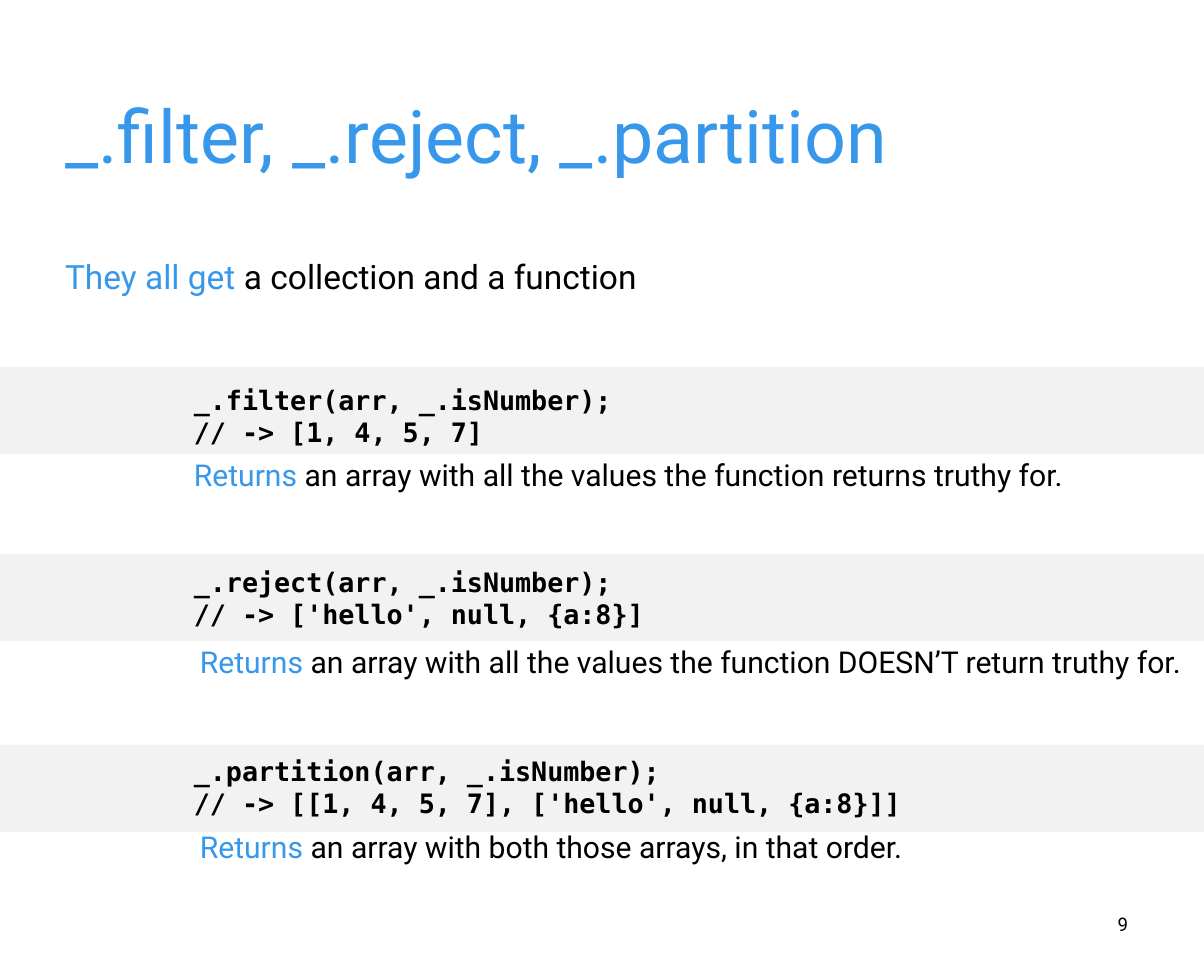
"""Build the slide on _.filter, _.reject and _.partition."""
import pptx
import pptx.util
import pptx.dml.color
import pptx.enum.shapes
import pptx.enum.text

RGB = pptx.dml.color.RGBColor
BLUE = RGB(0x37, 0x98, 0xEB)
BLACK = RGB(0x00, 0x00, 0x00)
GREY = RGB(0xF2, 0xF2, 0xF2)
SANS, MONO = "Roboto", "DejaVu Sans Mono"
ALIGN = pptx.enum.text.PP_ALIGN
PX_PER_INCH = 120.4
SLIDE_W = 1204

EXAMPLES = [
    dict(band_y=367, code_y=378, note_x=182, note_y=455,
         code="_.filter(arr, _.isNumber);\n// -> [1, 4, 5, 7]",
         note="an array with all the values the function returns truthy for."),
    dict(band_y=554, code_y=560, note_x=188, note_y=642,
         code="_.reject(arr, _.isNumber);\n// -> ['hello', null, {a:8}]",
         note="an array with all the values the function DOESN’T return truthy for."),
    dict(band_y=745, code_y=749, note_x=188, note_y=827,
         code="_.partition(arr, _.isNumber);\n// -> [[1, 4, 5, 7], ['hello', null, {a:8}]]",
         note="an array with both those arrays, in that order."),
]


def px(n):
    return pptx.util.Emu(round(n * 914400 / PX_PER_INCH))


def place(sp, x, y, w, h):
    sp.left, sp.top, sp.width, sp.height = px(x), px(y), px(w), px(h)


def add_box(s, x, y, w, h):
    return s.shapes.add_textbox(px(x), px(y), px(w), px(h))


def write(sp, *parts, size, font=SANS, bold=False, align=ALIGN.LEFT,
          spacing=1.0, before=0):
    """Fill one paragraph with (text, colour) parts, breaking lines at newlines."""
    tf = sp.text_frame
    tf.word_wrap = True
    tf.auto_size = pptx.enum.text.MSO_AUTO_SIZE.NONE
    tf.vertical_anchor = pptx.enum.text.MSO_ANCHOR.TOP
    p = tf.paragraphs[0]
    p.alignment = align
    p.line_spacing = spacing
    p.space_before = pptx.util.Pt(before)
    for text, color in parts:
        for i, line in enumerate(text.split("\n")):
            if i:
                p.add_line_break()
            r = p.add_run()
            r.text = line
            r.font.name, r.font.size, r.font.bold = font, pptx.util.Pt(size), bold
            r.font.color.rgb = color
    return p


def remove_bullet(p):
    pPr = p._p.get_or_add_pPr()
    pPr.set("marL", "0")
    pPr.set("indent", "0")
    pPr.append(pptx.oxml.parse_xml(
        '<a:buNone xmlns:a="http://schemas.openxmlformats.org/drawingml/2006/main"/>'))


def add_band(s, y):
    sp = s.shapes.add_shape(pptx.enum.shapes.MSO_SHAPE.RECTANGLE,
                            px(0), px(y), px(SLIDE_W), px(87))
    sp.shadow.inherit = False
    sp.fill.solid()
    sp.fill.fore_color.rgb = GREY
    sp.line.fill.background()


def add_example(s, band_y, code_y, note_x, note_y, code, note):
    add_band(s, band_y)
    write(add_box(s, 182, code_y, 957, 81), (code, BLACK),
          size=16, font=MONO, bold=True)
    write(add_box(s, note_x, note_y, 1008, 52), ("Returns ", BLUE), (note, BLACK),
          size=18, spacing=0.9, before=10)


def main():
    prs = pptx.Presentation()
    prs.slide_width, prs.slide_height = pptx.util.Inches(10), pptx.util.Inches(8)
    s = prs.slides.add_slide(prs.slide_layouts[1])

    title, body = s.shapes.title, s.placeholders[1]
    place(title, 53, 94, 890, 92)
    write(title, ("_.filter, _.reject, _.partition", BLUE), size=44, spacing=0.9)
    place(body, 53, 255, 889, 52)
    p = write(body, ("They all get ", BLUE), ("a collection and a function", BLACK),
              size=20, spacing=0.9, before=10)
    remove_bullet(p)

    for example in EXAMPLES:
        add_example(s, **example)
    write(add_box(s, 929, 907, 211, 35), ("9", BLACK), size=11.2, align=ALIGN.RIGHT)
    prs.save("out.pptx")


if __name__ == "__main__":
    main()
